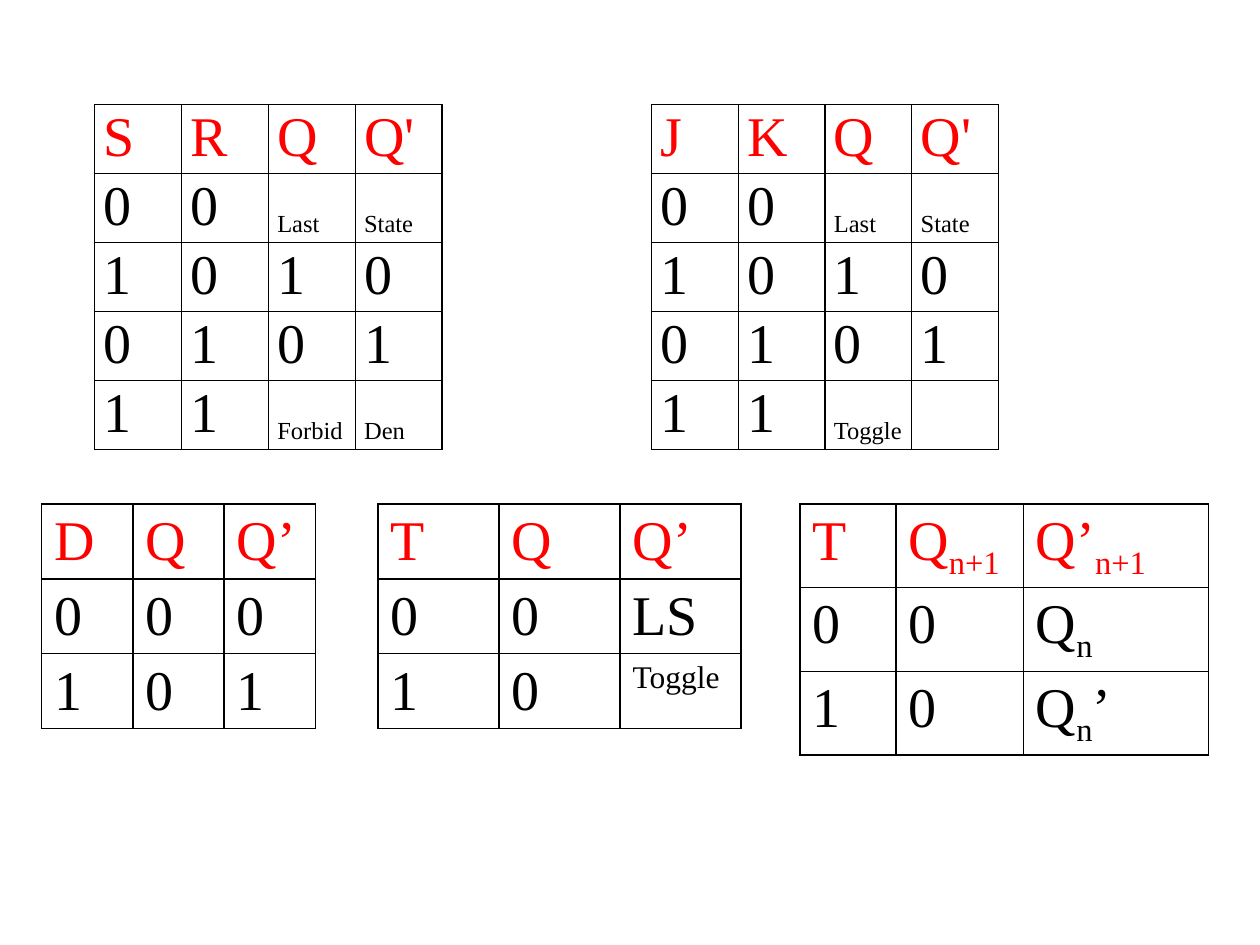
from dataclasses import dataclass
from typing import Optional

from lxml.etree import SubElement
from pptx import Presentation
from pptx.dml.color import RGBColor
from pptx.oxml.ns import qn
from pptx.util import Cm, Pt

FONT = "Times New Roman"
RED, BLACK = "FF0000", "000000"
TEXT_SIZE = 32


@dataclass
class TruthTable:
    left: float
    top: float
    height: float
    column_widths: list[float]
    row_height: float
    rows: list[list[str]]  # an underscore switches subscript on and off
    word_size: float  # size of the state names
    border: float
    compact: bool = False  # no cell margins, fixed line spacing


def color(value: str) -> RGBColor:
    return RGBColor.from_string(value)


def add_borders(cell, width: float) -> None:
    properties = cell._tc.get_or_add_tcPr()
    for side in ("a:lnL", "a:lnR", "a:lnT", "a:lnB"):
        line = SubElement(properties, qn(side), w=str(Pt(width)))
        fill = SubElement(line, qn("a:solidFill"))
        SubElement(fill, qn("a:srgbClr"), val=BLACK)


def add_text(paragraph, text: str, size: float, text_color: str) -> None:
    for index, part in enumerate(text.split("_")):
        run = paragraph.add_run()
        run.text = part
        run.font.name = FONT
        run.font.size = Pt(size)
        run.font.color.rgb = color(text_color)
        if index % 2:
            run.font._element.set("baseline", "-25000")


def fill_cell(cell, text: str, text_color: str, spec_table: TruthTable) -> None:
    add_borders(cell, spec_table.border)
    cell.fill.background()
    paragraph = cell.text_frame.paragraphs[0]
    if spec_table.compact:
        cell.margin_left = cell.margin_right = 0
        cell.margin_top = cell.margin_bottom = 0
        paragraph._p.get_or_add_pPr().set("marL", str(Cm(0.18)))
        paragraph.line_spacing = Pt(36.6)
    if text:
        size = spec_table.word_size if text in STATE_NAMES else TEXT_SIZE
        add_text(paragraph, text, size, text_color)


def draw_table(slide, truth_table: TruthTable) -> None:
    widths = truth_table.column_widths
    shape = slide.shapes.add_table(
        len(truth_table.rows), len(widths),
        Cm(truth_table.left), Cm(truth_table.top),
        Cm(sum(widths)), Cm(truth_table.height),
    )
    table = shape.table
    table.first_row = table.horz_banding = False
    for column, width in zip(table.columns, widths):
        column.width = Cm(width)
    for row_index, texts in enumerate(truth_table.rows):
        table.rows[row_index].height = Cm(truth_table.row_height)
        text_color = BLACK if row_index else RED
        for column_index, text in enumerate(texts):
            fill_cell(table.cell(row_index, column_index), text, text_color, truth_table)
    shape.height = Cm(truth_table.height)


STATE_NAMES = {"Last", "State", "Forbid", "Den", "Toggle"}


def two_input_table(left: float, inputs: str, last_states: list[str]) -> TruthTable:
    rows = [
        [*inputs, "Q", "Q'"],
        ["0", "0", "Last", "State"],
        [*"1010"],
        [*"0101"],
        ["1", "1", *last_states],
    ]
    return TruthTable(left, 2.11, 6.95, [1.75] * 4, 1.39, rows, 14, 0.75, compact=True)


def one_input_table(left: float, widths: list[float], rows: list[list[str]]) -> TruthTable:
    return TruthTable(left, 10.16, 4.83, widths, 1.07, rows, 18, 1)


def main() -> None:
    presentation = Presentation()
    presentation.slide_width, presentation.slide_height = Cm(25.4), Cm(19.05)
    slide = presentation.slides.add_slide(presentation.slide_layouts[6])

    tables = [
        # Top row: SR and JK flip-flops
        two_input_table(1.91, "SR", ["Forbid", "Den"]),
        two_input_table(13.13, "JK", ["Toggle", ""]),
        # Bottom row: D flip-flop and two forms of the T flip-flop
        one_input_table(0.84, [1.84] * 3, [["D", "Q", "Q’"], [*"000"], [*"101"]]),
        one_input_table(7.62, [2.44] * 3, [
            ["T", "Q", "Q’"], ["0", "0", "LS"], ["1", "0", "Toggle"],
        ]),
        one_input_table(16.13, [1.93, 2.57, 3.73], [
            ["T", "Q_n+1", "Q’_n+1"], ["0", "0", "Q_n"], ["1", "0", "Q_n_’"],
        ]),
    ]
    for truth_table in tables:
        draw_table(slide, truth_table)

    presentation.save("out.pptx")


if __name__ == "__main__":
    main()
